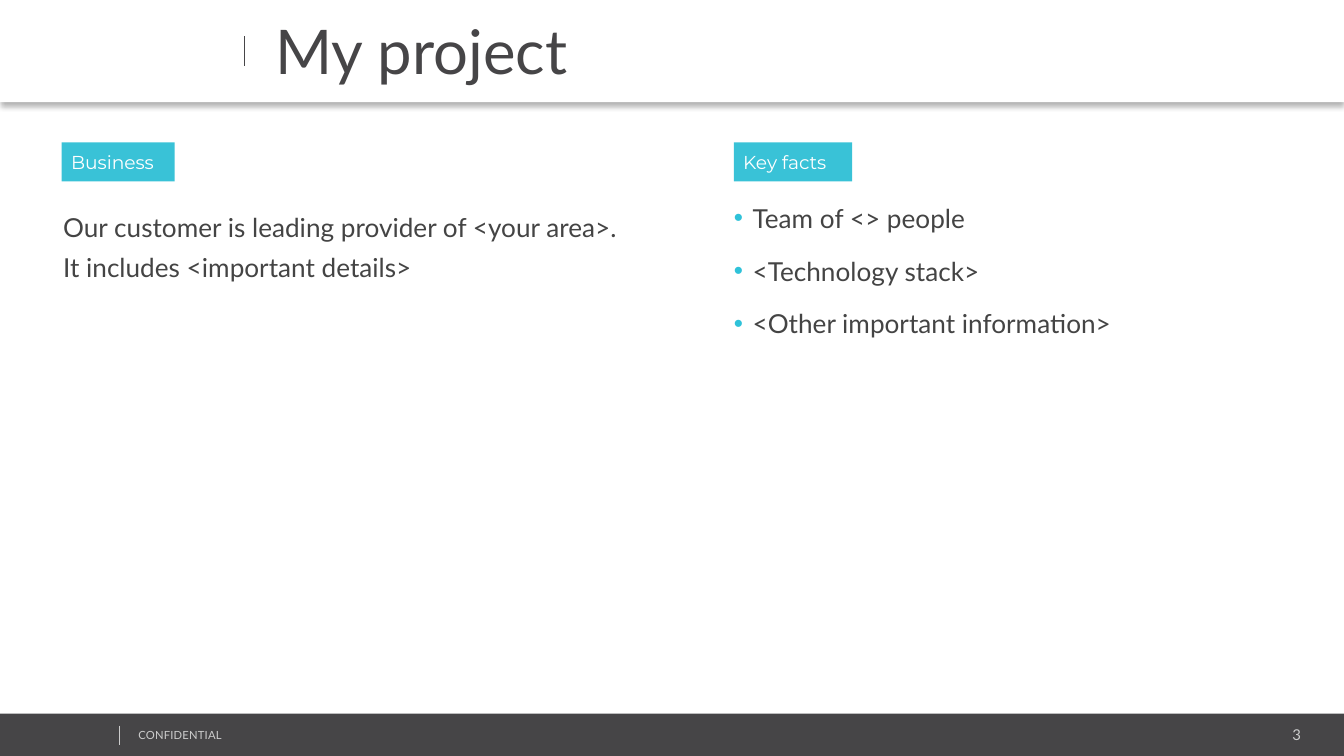
from lxml import etree
from pptx import Presentation
from pptx.dml.color import RGBColor
from pptx.enum.shapes import MSO_CONNECTOR, MSO_SHAPE
from pptx.enum.text import MSO_ANCHOR, PP_ALIGN
from pptx.oxml.ns import qn
from pptx.util import Inches, Pt

RECTANGLE = MSO_SHAPE.RECTANGLE
STRAIGHT = MSO_CONNECTOR.STRAIGHT
TOP, MIDDLE = MSO_ANCHOR.TOP, MSO_ANCHOR.MIDDLE
LEFT, RIGHT = PP_ALIGN.LEFT, PP_ALIGN.RIGHT

COLORS = {
    "dark": "464547",
    "body": "444444",
    "muted": "CCCCCC",
    "accent": "39C2D7",
    "bullet": "2FC2D9",
    "white": "FFFFFF",
    "shadow": "000000",
}


def rgb(name):
    return RGBColor.from_string(COLORS[name])


def add_child(parent, tag, **attributes):
    return etree.SubElement(parent, qn(tag), **attributes)


def add_bar(slide, left, top, width, height, color):
    bar = slide.shapes.add_shape(
        RECTANGLE, Inches(left), Inches(top), Inches(width), Inches(height))
    bar.shadow.inherit = False
    bar.fill.solid()
    bar.fill.fore_color.rgb = rgb(color)
    bar.line.fill.background()
    return bar


def add_drop_shadow(shape):
    effects = shape.element.spPr.find(qn("a:effectLst"))
    shadow = add_child(effects, "a:outerShdw", blurRad=str(Pt(3.1)), dist=str(Pt(2)),
                       dir="5400000", algn="t", rotWithShape="0")
    color = add_child(shadow, "a:srgbClr", val=COLORS["shadow"])
    add_child(color, "a:alpha", val="30000")


def add_divider(slide, x, top, bottom, color, width):
    divider = slide.shapes.add_connector(
        STRAIGHT, Inches(x), Inches(top), Inches(x), Inches(bottom))
    divider.line.color.rgb = rgb(color)
    divider.line.width = Pt(width)
    add_child(divider.element.spPr, "a:effectLst")


def add_bullet(paragraph, indent=0.14):
    properties = paragraph._p.get_or_add_pPr()
    properties.set("marL", str(Inches(indent)))
    properties.set("indent", str(-Inches(indent)))
    color = add_child(properties, "a:buClr")
    add_child(color, "a:srgbClr", val=COLORS["bullet"])
    add_child(properties, "a:buFont", typeface="Arial")
    add_child(properties, "a:buChar", char="•")


def write_text(shape, *lines, size, color, font="Lato", align=LEFT, anchor=TOP,
               inset_top=0.04, inset_bottom=0.04, wrap=True, line_spacing=None,
               space_after=0, tracking=None, bulleted=False):
    """Fill a shape with one paragraph for each line."""
    frame = shape.text_frame
    frame.word_wrap = wrap
    frame.vertical_anchor = anchor
    frame.margin_left = frame.margin_right = Inches(0.07)
    frame.margin_top, frame.margin_bottom = Inches(inset_top), Inches(inset_bottom)
    for index, line in enumerate(lines):
        paragraph = frame.add_paragraph() if index else frame.paragraphs[0]
        paragraph.alignment = align
        paragraph.line_spacing = line_spacing
        paragraph.space_after = Pt(space_after)
        if bulleted:
            add_bullet(paragraph)
        run = paragraph.add_run()
        run.text = line
        run.font.name = font
        run.font.size = Pt(size)
        run.font.color.rgb = rgb(color)
        if tracking:
            run.font._element.set("spc", str(round(tracking * 100)))


def add_text(slide, left, top, width, height, *lines, **text_format):
    box = slide.shapes.add_textbox(
        Inches(left), Inches(top), Inches(width), Inches(height))
    write_text(box, *lines, **text_format)


def add_label(slide, left, width, caption):
    label = add_bar(slide, left, 1.06, width, 0.29, "accent")
    write_text(label, caption, size=10, color="white", font="Montserrat",
               anchor=MIDDLE, inset_top=0.06, inset_bottom=0.06, wrap=False)


def add_footer(slide):
    add_bar(slide, 0, 5.31, 10.01, 0.33, "dark")
    add_text(slide, 8.12, 5.36, 1.63, 0.21, "3", size=8, color="muted", align=RIGHT)
    add_text(slide, 0.96, 5.38, 2.53, 0.18, "CONFIDENTIAL",
             size=6, color="muted", tracking=0.1)
    add_divider(slide, 0.89, 5.4, 5.54, "muted", 0.25)


def add_header(slide, title):
    add_drop_shadow(add_bar(slide, 0, 0, 10, 0.76, "white"))
    add_divider(slide, 1.82, 0.27, 0.49, "dark", 0.5)
    add_text(slide, 1.98, 0.1, 7.06, 0.59, title, size=33, color="dark",
             anchor=MIDDLE, inset_top=0)


def main():
    presentation = Presentation()
    presentation.slide_width = Inches(10)
    presentation.slide_height = Inches(10 * 9 / 16)
    slide = presentation.slides.add_slide(presentation.slide_layouts[6])

    add_footer(slide)
    add_header(slide, "My project")

    body_format = {"size": 14, "color": "body", "space_after": 9.8}
    add_label(slide, 0.46, 0.84, "Business")
    add_text(slide, 0.4, 1.46, 4.3, 3,
             "Our customer is leading provider of <your area>. "
             "It includes <important details>",
             line_spacing=1.3, **body_format)
    add_label(slide, 5.46, 0.88, "Key facts")
    add_text(slide, 5.39, 1.44, 4.2, 3.58,
             "Team of <> people", "<Technology stack>", "<Other important information>",
             line_spacing=1.1, bulleted=True, **body_format)

    presentation.save("out.pptx")


if __name__ == "__main__":
    main()
